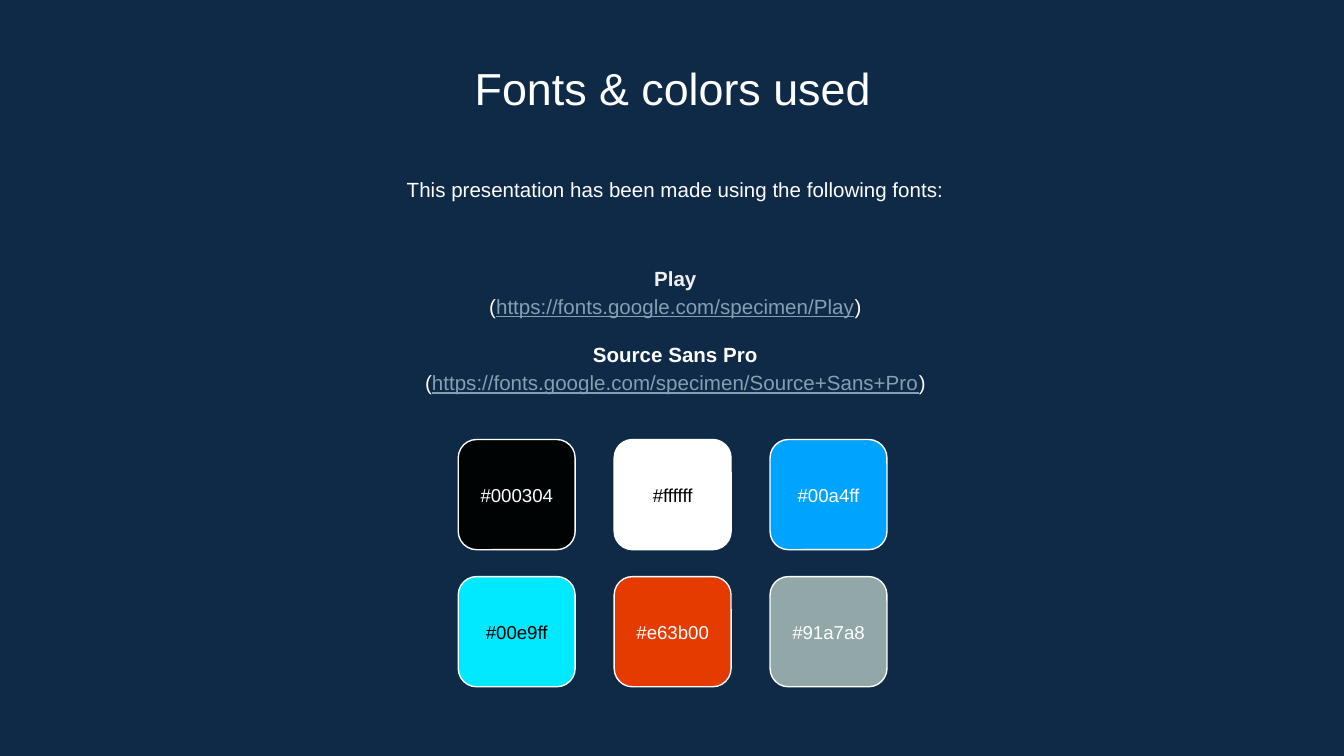
from dataclasses import dataclass

import pptx
import pptx.dml.color
import pptx.enum.shapes
import pptx.enum.text
import pptx.util

Anchor = pptx.enum.text.MSO_ANCHOR


@dataclass(frozen=True)
class Theme:
    font: str = "Arial"
    background: str = "0E2A47"
    white: str = "FFFFFF"
    black: str = "000000"
    soft_white: str = "EFEFEF"
    link: str = "869FB2"
    title_size: float = 24
    body_size: float = 11
    label_size: float = 10
    outline: float = 0.75


@dataclass(frozen=True)
class Frame:
    left: float
    top: float
    width: float
    height: float

    def lengths(self) -> list:
        return [pptx.util.Inches(n) for n in (self.left, self.top, self.width, self.height)]


@dataclass(frozen=True)
class Grid:
    left: float
    top: float
    column_step: float
    row_step: float
    columns: int

    def cell(self, index: int, width: float, height: float, drop: float = 0) -> Frame:
        row, column = divmod(index, self.columns)
        return Frame(self.left + column * self.column_step,
                     self.top + row * self.row_step + drop, width, height)


@dataclass(frozen=True)
class Span:
    text: str
    color: str
    bold: bool = False
    underline: bool = False


@dataclass(frozen=True)
class Line:
    spans: tuple
    space_before: float = 0


@dataclass(frozen=True)
class Swatch:
    label: str
    ink: str


@dataclass(frozen=True)
class FontCredit:
    name: str
    color: str
    address: str


THEME = Theme()
PAGE_WIDTH = pptx.util.Inches(10)
PAGE_HEIGHT = PAGE_WIDTH * 9 // 16
SWATCH_GRID = Grid(left=3.41, top=3.27, column_step=1.16, row_step=1.02, columns=3)
SWATCH_WIDTH, SWATCH_HEIGHT, LABEL_HEIGHT = 0.87, 0.82, 0.48
CREDIT_GAP = 10.5

CREDITS = (
    FontCredit("Play", THEME.soft_white, "https://fonts.google.com/specimen/Play"),
    FontCredit("Source Sans Pro", THEME.white, "https://fonts.google.com/specimen/Source+Sans+Pro"),
)
SWATCHES = (
    Swatch("#000304", THEME.white),
    Swatch("#ffffff", THEME.black),
    Swatch("#00a4ff", THEME.white),
    Swatch("#00e9ff", THEME.black),
    Swatch("#e63b00", THEME.white),
    Swatch("#91a7a8", THEME.white),
)


def rgb(code: str) -> pptx.dml.color.RGBColor:
    return pptx.dml.color.RGBColor.from_string(code.upper())


def apply_format(target, values: dict) -> None:
    for name, value in values.items():
        setattr(target, name, value)


def add_text(page, frame: Frame, lines: list[Line], size: float,
             anchor=Anchor.TOP, line_spacing: float = 1.0) -> None:
    text_frame = page.shapes.add_textbox(*frame.lengths()).text_frame
    inset = pptx.util.Inches(0.1)
    apply_format(text_frame, {
        "word_wrap": True, "vertical_anchor": anchor,
        "margin_left": inset, "margin_right": inset,
        "margin_top": inset, "margin_bottom": inset,
    })
    for index, line in enumerate(lines):
        para = text_frame.add_paragraph() if index else text_frame.paragraphs[0]
        apply_format(para, {
            "alignment": pptx.enum.text.PP_ALIGN.CENTER,
            "line_spacing": line_spacing,
            "space_before": pptx.util.Pt(line.space_before),
        })
        for span in line.spans:
            run = para.add_run()
            run.text = span.text
            apply_format(run.font, {
                "name": THEME.font, "size": pptx.util.Pt(size),
                "bold": span.bold, "underline": span.underline,
            })
            run.font.color.rgb = rgb(span.color)


def credit_lines(credit: FontCredit, space_before: float) -> list[Line]:
    return [
        Line((Span(credit.name, credit.color, bold=True),), space_before),
        Line((Span("(", THEME.white),
              Span(credit.address, THEME.link, underline=True),
              Span(")", THEME.white))),
    ]


def add_swatch(page, index: int, swatch: Swatch) -> None:
    frame = SWATCH_GRID.cell(index, SWATCH_WIDTH, SWATCH_HEIGHT)
    tile = page.shapes.add_shape(
        pptx.enum.shapes.MSO_SHAPE.ROUNDED_RECTANGLE, *frame.lengths())
    tile.shadow.inherit = False
    tile.fill.solid()
    tile.fill.fore_color.rgb = rgb(swatch.label.lstrip("#"))
    tile.line.color.rgb = rgb(THEME.white)
    tile.line.width = pptx.util.Pt(THEME.outline)
    drop = (SWATCH_HEIGHT - LABEL_HEIGHT) / 2
    add_text(page, SWATCH_GRID.cell(index, SWATCH_WIDTH, LABEL_HEIGHT, drop),
             [Line((Span(swatch.label, swatch.ink),))], THEME.label_size, Anchor.MIDDLE)


def main() -> None:
    deck = pptx.Presentation()
    apply_format(deck, {"slide_width": PAGE_WIDTH, "slide_height": PAGE_HEIGHT})
    page = deck.slides.add_slide(deck.slide_layouts[6])
    page.background.fill.solid()
    page.background.fill.fore_color.rgb = rgb(THEME.background)

    add_text(page, Frame(1.15, 0.35, 7.71, 0.53),
             [Line((Span("Fonts & colors used", THEME.white),))], THEME.title_size)
    intro = "This presentation has been made using the following fonts:"
    add_text(page, Frame(1.17, 1.19, 7.71, 0.48),
             [Line((Span(intro, THEME.white),))], THEME.body_size, line_spacing=1.15)
    lines = [line for index, credit in enumerate(CREDITS)
             for line in credit_lines(credit, CREDIT_GAP if index else 0)]
    add_text(page, Frame(1.17, 1.76, 7.71, 1.37), lines, THEME.body_size,
             Anchor.MIDDLE, line_spacing=1.15)
    for index, swatch in enumerate(SWATCHES):
        add_swatch(page, index, swatch)

    deck.save("out.pptx")


if __name__ == "__main__":
    main()
